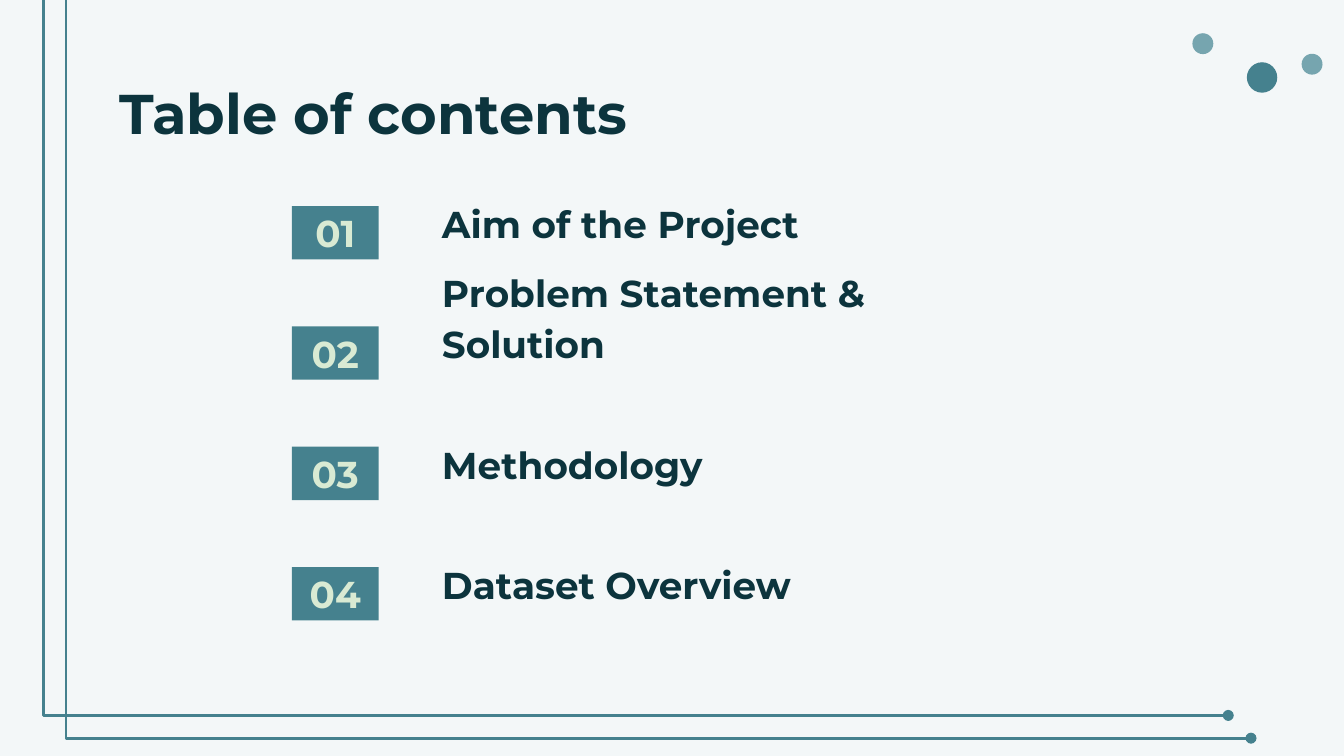
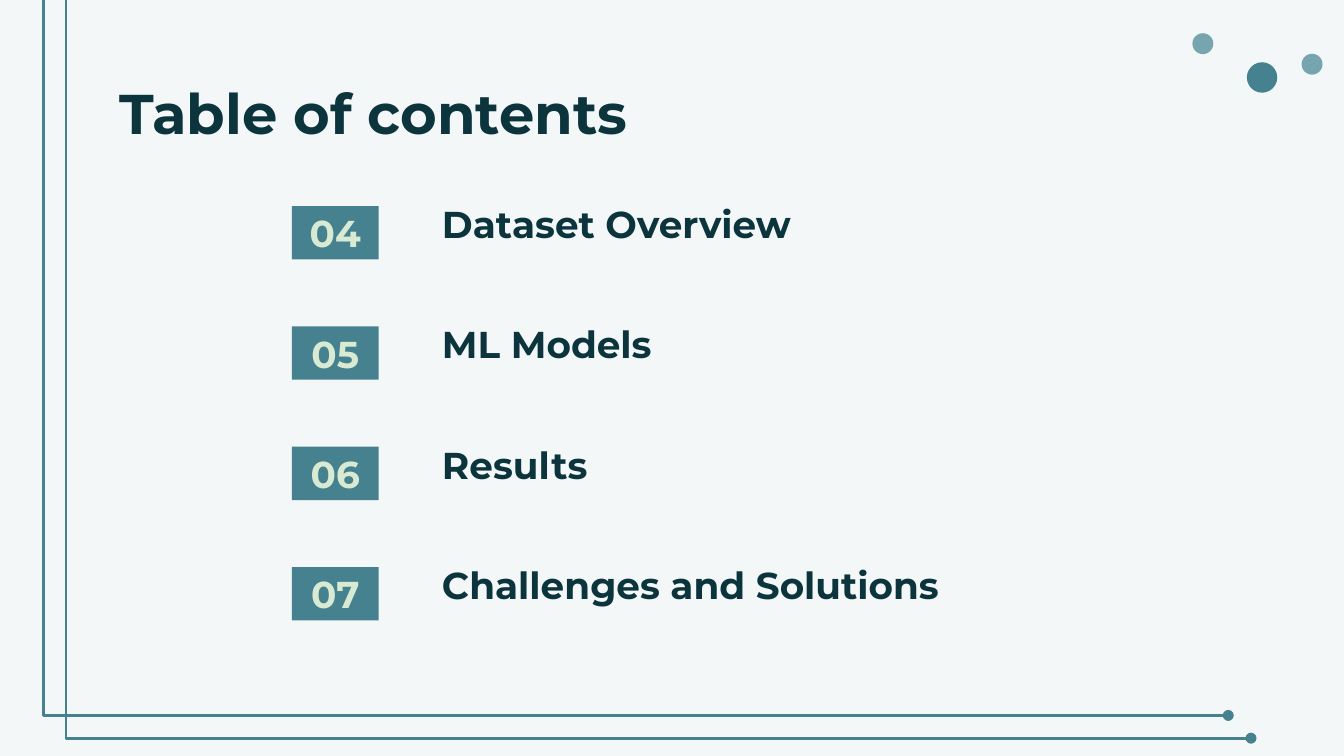
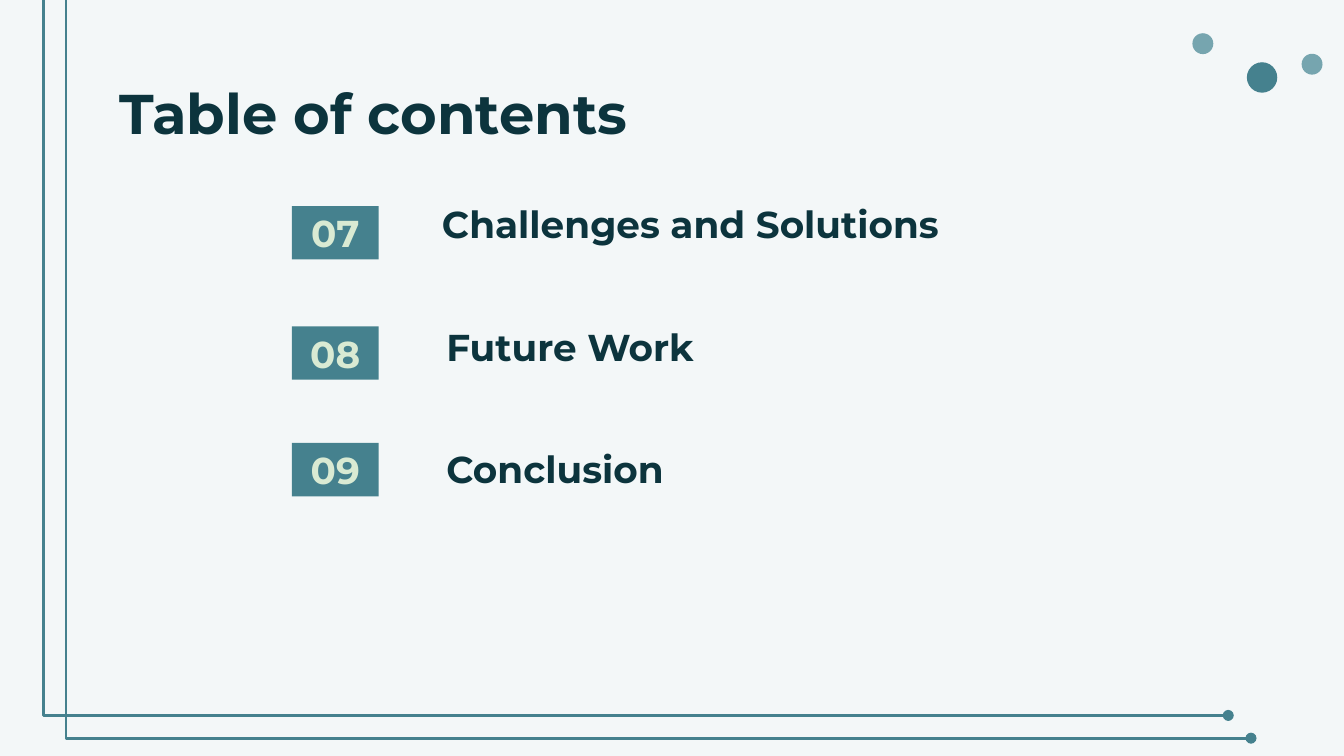
from dataclasses import dataclass

from lxml.etree import SubElement
from pptx import Presentation
from pptx.dml.color import RGBColor
from pptx.enum.shapes import MSO_CONNECTOR, MSO_SHAPE
from pptx.enum.text import MSO_ANCHOR, MSO_AUTO_SIZE, PP_ALIGN
from pptx.oxml.ns import qn
from pptx.slide import Slide, SlideLayout
from pptx.text.text import TextFrame
from pptx.util import Pt

COLORS = {
    "background": "F3F7F8",
    "teal": "45818E",
    "light_teal": "76A5AF",
    "ink": "0C343D",
    "mint": "D9EAD3",
}
FONT = "Montserrat"
TITLE = "Table of contents"
INSET = 7.2

# Rows of the contents list
ROW_TOP, ROW_PITCH, ROW_HEIGHT = 110.4, 64.45, 28.6
BADGE_LEFT, BADGE_WIDTH = 156.4, 46.5
LABEL_LEFT, LABEL_WIDTH = 229.7, 333.5
HANGING_LEFT, HANGING_MARGIN, HANGING_INDENT = 221.2, 36, -25.2

# Corner lines
LINE_LEFT, LINE_TOP, LINE_STEP = 29.5, -17.3, 12.2
LINE_WIDTH, LINE_HEIGHT = 628.5, 400.6


@dataclass
class Dot:
    x: float
    y: float
    size: float
    color: str


@dataclass
class Item:
    number: str
    label: str
    hanging: bool = False
    badge_shift: float = 0
    label_shift: float = 0


DOTS = [
    Dot(676.1, 41.5, 16.3, "teal"),
    Dot(644.4, 23.4, 11.2, "light_teal"),
    Dot(702.9, 34.4, 11.2, "light_teal"),
]

DATASET = Item("04", "Dataset Overview")
CHALLENGES = Item("07", "Challenges and Solutions")
PAGES = [
    [
        Item("01", "Aim of the Project"),
        Item("02", "Problem Statement & Solution"),
        Item("03", "Methodology"),
        DATASET,
    ],
    [DATASET, Item("05", "ML Models"), Item("06", "Results"), CHALLENGES],
    [
        CHALLENGES,
        Item("08", "Future Work", hanging=True, label_shift=1.6),
        Item("09", "Conclusion", hanging=True, badge_shift=-2, label_shift=2.2),
    ],
]


def rgb(name: str) -> RGBColor:
    return RGBColor.from_string(COLORS[name])


def write(tf: TextFrame, text: str, size: float, color: str,
          align: PP_ALIGN, anchor: MSO_ANCHOR) -> None:
    tf.text = text
    tf.word_wrap = True
    tf.auto_size = MSO_AUTO_SIZE.NONE
    tf.vertical_anchor = anchor
    tf.margin_left = tf.margin_right = Pt(INSET)
    tf.margin_top = tf.margin_bottom = Pt(INSET)
    p = tf.paragraphs[0]
    p.alignment = align
    font = p.runs[0].font
    font.name, font.size, font.bold = FONT, Pt(size), True
    font.color.rgb = rgb(color)


def add_dot(slide: Slide, dot: Dot):
    sp = slide.shapes.add_shape(
        MSO_SHAPE.OVAL, Pt(dot.x - dot.size / 2), Pt(dot.y - dot.size / 2),
        Pt(dot.size), Pt(dot.size))
    sp.shadow.inherit = False
    sp.fill.solid()
    sp.fill.fore_color.rgb = rgb(dot.color)
    sp.line.fill.background()
    return sp


def add_corner_line(slide: Slide, shift: float):
    left, top = LINE_LEFT + shift, LINE_TOP + shift
    line = slide.shapes.add_connector(
        MSO_CONNECTOR.ELBOW, Pt(left), Pt(top),
        Pt(left + LINE_WIDTH), Pt(top + LINE_HEIGHT))
    line.line.color.rgb = rgb("teal")
    line.line.width = Pt(1.5)
    sp_pr = line.element.spPr
    guides = sp_pr.find(qn("a:prstGeom")).get_or_add_avLst()
    SubElement(guides, qn("a:gd"), name="adj1", fmla="val -970")
    SubElement(sp_pr.find(qn("a:ln")), qn("a:tailEnd"), type="oval")
    SubElement(sp_pr, qn("a:effectLst"))
    return line


def decorate_layout(layout: SlideLayout, slide: Slide) -> None:
    """Draw the shared decoration and hand it over to the layout."""
    layout.background.fill.solid()
    layout.background.fill.fore_color.rgb = rgb("background")
    for ph in list(layout.placeholders):
        if ph.placeholder_format.idx != 0:
            layout.shapes.element.remove(ph.element)
    shapes = [add_dot(slide, dot) for dot in DOTS]
    shapes += [add_corner_line(slide, i * LINE_STEP) for i in range(2)]
    for sp in shapes:
        layout.shapes.element.append(sp.element)


def add_title(slide: Slide) -> None:
    title = slide.shapes.title
    title.left, title.top = Pt(56.7), Pt(35.1)
    title.width, title.height = Pt(606.6), Pt(45)
    write(title.text_frame, TITLE, 30, "ink", PP_ALIGN.LEFT, MSO_ANCHOR.TOP)


def add_item(slide: Slide, item: Item, row: int) -> None:
    top = ROW_TOP + row * ROW_PITCH

    # Number badge
    badge = slide.shapes.add_shape(
        MSO_SHAPE.RECTANGLE, Pt(BADGE_LEFT), Pt(top + item.badge_shift),
        Pt(BADGE_WIDTH), Pt(ROW_HEIGHT))
    badge.shadow.inherit = False
    badge.fill.solid()
    badge.fill.fore_color.rgb = rgb("teal")
    badge.line.fill.background()
    write(badge.text_frame, item.number, 20, "mint",
          PP_ALIGN.CENTER, MSO_ANCHOR.MIDDLE)

    # Section name
    left = HANGING_LEFT if item.hanging else LABEL_LEFT
    label = slide.shapes.add_textbox(
        Pt(left), Pt(top + item.label_shift), Pt(LABEL_WIDTH), Pt(ROW_HEIGHT))
    write(label.text_frame, item.label, 20, "ink",
          PP_ALIGN.LEFT, MSO_ANCHOR.BOTTOM)
    p = label.text_frame.paragraphs[0]
    p.line_spacing = 1.15
    if item.hanging:
        p_pr = p.runs[0].font and label.element.find(".//" + qn("a:pPr"))
        p_pr.set("marL", str(Pt(HANGING_MARGIN)))
        p_pr.set("indent", str(Pt(HANGING_INDENT)))


def main() -> None:
    prs = Presentation()
    prs.slide_width, prs.slide_height = Pt(720), Pt(405)
    layout = prs.slide_layouts[5]
    for page, items in enumerate(PAGES):
        slide = prs.slides.add_slide(layout)
        if page == 0:
            decorate_layout(layout, slide)
        add_title(slide)
        for row, item in enumerate(items):
            add_item(slide, item, row)
    prs.save("out.pptx")


if __name__ == "__main__":
    main()
